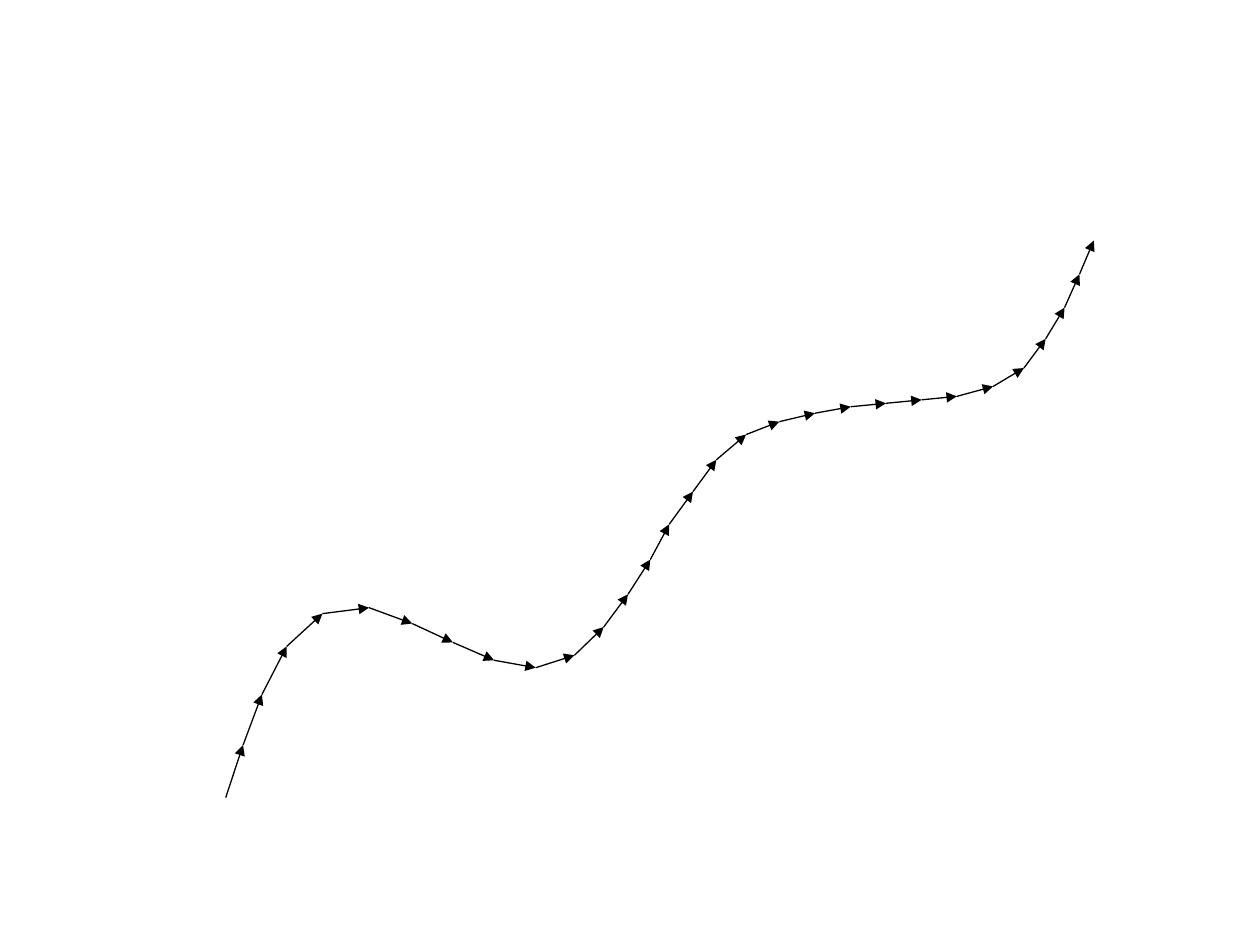
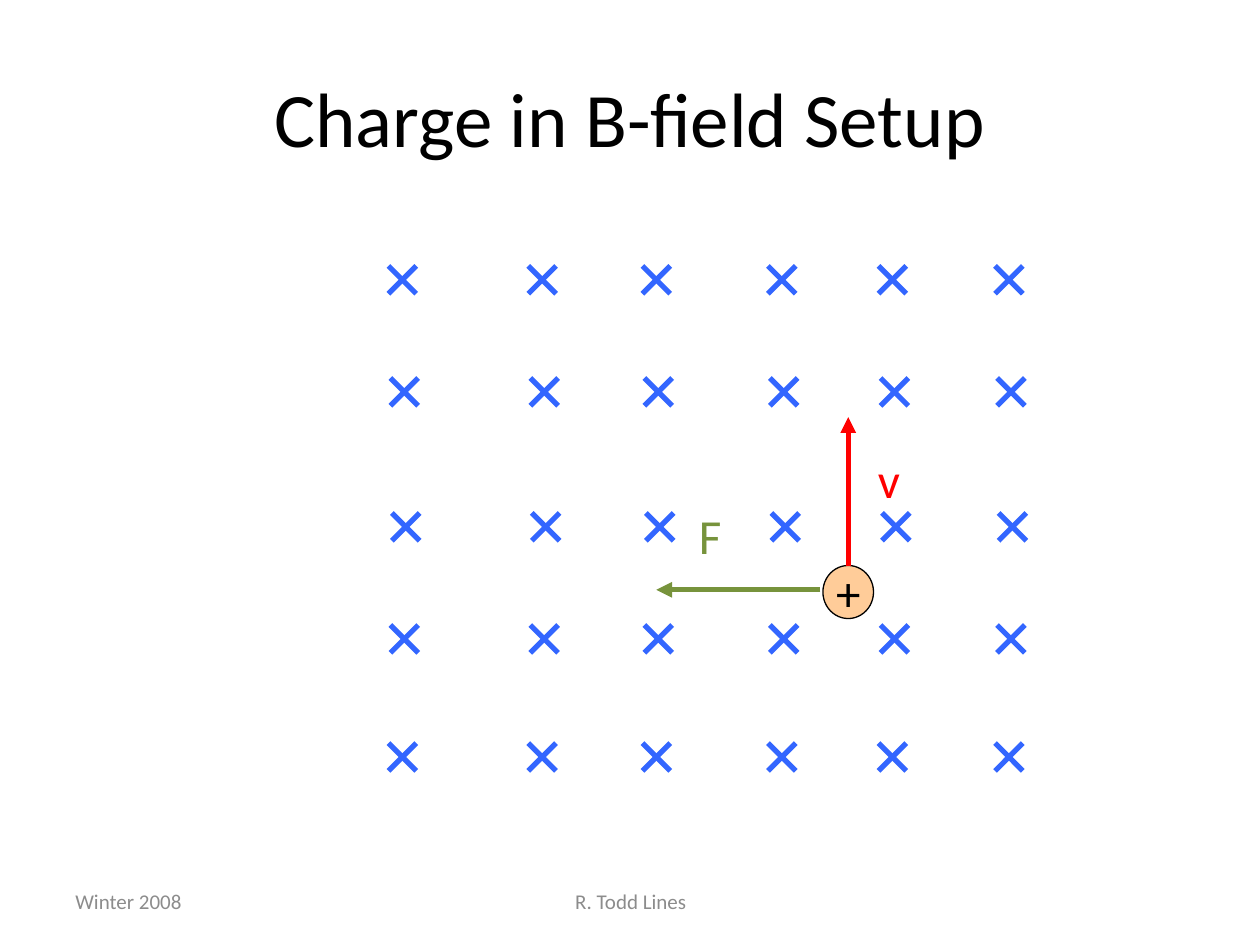
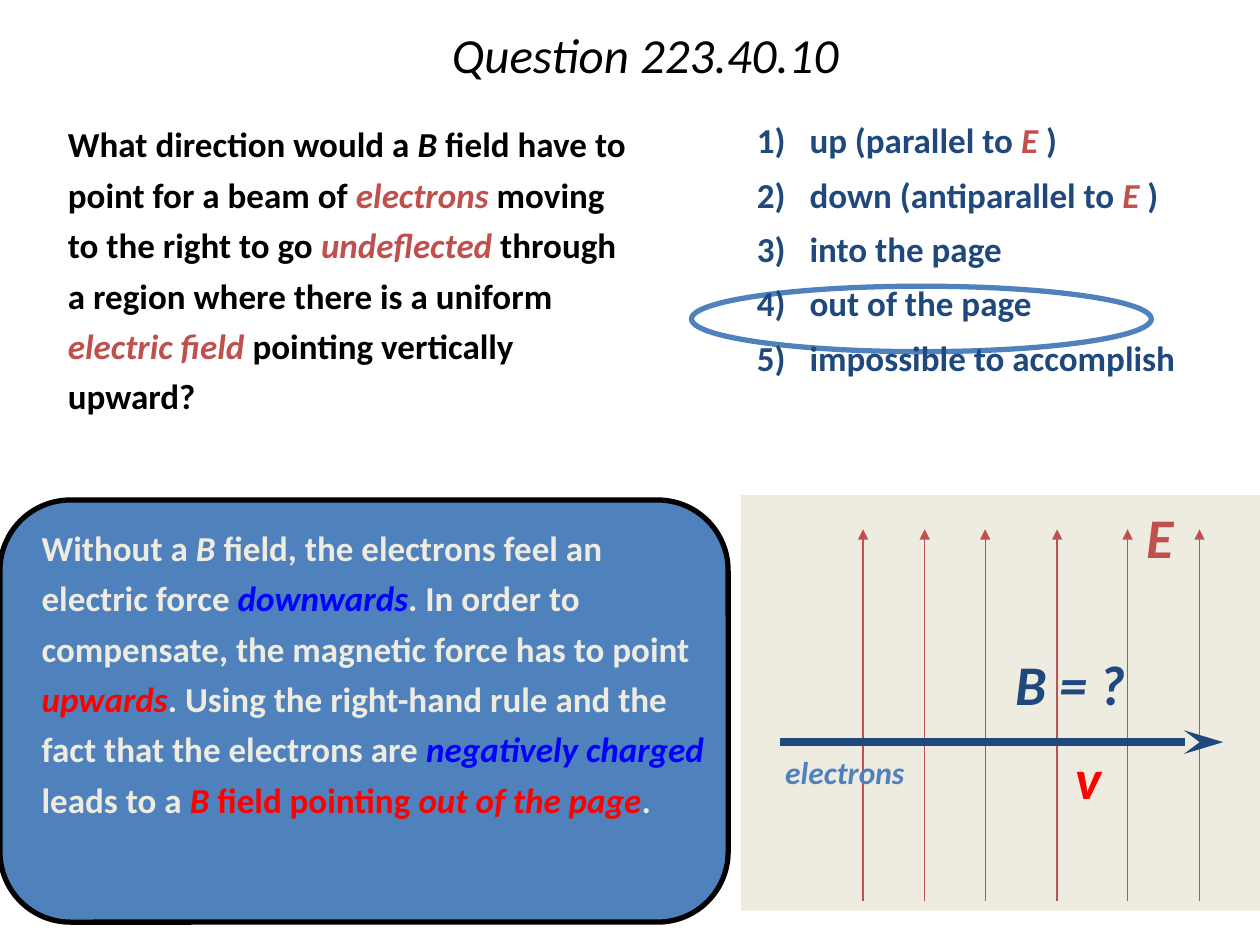
from itertools import pairwise

from lxml.etree import SubElement
from pptx import Presentation
from pptx.dml.color import RGBColor
from pptx.enum.shapes import MSO_CONNECTOR, MSO_SHAPE
from pptx.enum.text import MSO_ANCHOR, PP_ALIGN
from pptx.oxml.ns import qn
from pptx.util import Cm, Pt

FONT = "Calibri"
BLACK = RGBColor(0x00, 0x00, 0x00)
GREY = RGBColor(0x8C, 0x8C, 0x8C)
RED = RGBColor(0xFF, 0x00, 0x00)
PURE_BLUE = RGBColor(0x00, 0x00, 0xFF)
FIELD_BLUE = RGBColor(0x33, 0x66, 0xFF)
FORCE_GREEN = RGBColor(0x77, 0x93, 0x3C)
CHARGE_PEACH = RGBColor(0xFF, 0xCC, 0x99)
BLUE = RGBColor(0x4F, 0x81, 0xBD)
NAVY = RGBColor(0x1F, 0x49, 0x7D)
BRICK = RGBColor(0xC0, 0x50, 0x4D)
CREAM = RGBColor(0xEE, 0xEC, 0xE1)

PATH_POINTS = [
    (4.55, 16.08), (4.9, 15.02), (5.28, 14), (5.78, 13.03), (6.5, 12.37),
    (7.44, 12.25), (8.31, 12.57), (9.13, 12.95), (9.96, 13.31), (10.8, 13.46),
    (11.58, 13.21), (12.17, 12.64), (12.66, 11.98), (13.11, 11.28),
    (13.49, 10.57), (13.97, 9.91), (14.44, 9.27), (15.04, 8.76), (15.71, 8.5),
    (16.43, 8.33), (17.15, 8.2), (17.86, 8.13), (18.58, 8.06), (19.29, 7.99),
    (20.02, 7.79), (20.64, 7.42), (21.08, 6.83), (21.46, 6.2), (21.76, 5.53),
    (22.05, 4.85),
]
CROSS_COLUMNS = [7.83, 10.65, 12.95, 15.48, 17.71, 20.06]
CROSS_ROWS = [(5.36, 0), (7.62, 0.04), (10.34, 0.07), (12.6, 0.04), (14.98, 0)]
CROSS_SIZE = 0.56
E_FIELD_COLUMNS = [17.4, 18.64, 19.86, 21.31, 22.73, 24.18]


def write(frame, paragraphs, size=20, color=BLACK, bold=False, italic=False,
          align=PP_ALIGN.LEFT, anchor=MSO_ANCHOR.TOP, spacing=1, gap=0,
          indent=0, numbered=False, insets=(0.25, 0.13)):
    """Fill a frame with paragraphs, each a string or a list of strings and (text, colour, italic) runs."""
    frame.word_wrap = True
    frame.vertical_anchor = anchor
    frame.margin_left = frame.margin_right = Cm(insets[0])
    frame.margin_top = frame.margin_bottom = Cm(insets[1])
    for index, runs in enumerate(paragraphs):
        paragraph = frame.add_paragraph() if index else frame.paragraphs[0]
        properties = paragraph._p.get_or_add_pPr()
        if indent:
            properties.set("marL", str(Cm(indent)))
            properties.set("indent", str(-Cm(indent) if numbered else 0))
        if numbered:
            SubElement(properties, qn("a:buFont"), typeface="+mj-lt")
            SubElement(properties, qn("a:buAutoNum"), type="arabicParenR")
        paragraph.alignment = align
        paragraph.line_spacing = spacing
        if index:
            paragraph.space_before = Pt(gap)
        for part in [runs] if isinstance(runs, str) else runs:
            text, run_color, run_italic = (part, color, italic) if isinstance(part, str) else part
            run = paragraph.add_run()
            run.text = text
            run.font.name = FONT
            run.font.size = Pt(size)
            run.font.bold = bold
            run.font.italic = run_italic
            run.font.color.rgb = run_color


def add_text(slide, box, *paragraphs, **text_format):
    """Add a text box whose place is given in centimetres."""
    text_box = slide.shapes.add_textbox(*map(Cm, box))
    write(text_box.text_frame, paragraphs, **text_format)


def add_title(slide, box, text, **text_format):
    """Add a centred slide title."""
    add_text(slide, box, text, align=PP_ALIGN.CENTER, anchor=MSO_ANCHOR.MIDDLE, **text_format)


def add_footer(slide, box, text, align):
    """Add a grey footer text."""
    add_text(slide, box, text, size=12, color=GREY, align=align, anchor=MSO_ANCHOR.MIDDLE)


def add_outline(slide, kind, box, fill=None, line=None, width=0.75):
    """Add a preset shape with an optional fill and outline."""
    shape = slide.shapes.add_shape(kind, *map(Cm, box))
    shape.shadow.inherit = False
    if fill is None:
        shape.fill.background()
    else:
        shape.fill.solid()
        shape.fill.fore_color.rgb = fill
    if line is None:
        shape.line.fill.background()
    else:
        shape.line.color.rgb = line
        shape.line.width = Pt(width)
    return shape


def add_line(slide, start, end, color=BLACK, width=0.75, head=None, head_length="med"):
    """Add a straight line with an optional arrowhead at its end."""
    line = slide.shapes.add_connector(MSO_CONNECTOR.STRAIGHT, *map(Cm, (*start, *end)))
    line.line.color.rgb = color
    line.line.width = Pt(width)
    if head:
        SubElement(line.line._get_or_add_ln(), qn("a:tailEnd"), type=head, w="med", len=head_length)
    SubElement(line._element.spPr, qn("a:effectLst"))
    return line


def add_cross(slide, left, top):
    """Add one field mark that points into the page."""
    right, bottom = left + CROSS_SIZE, top + CROSS_SIZE
    add_line(slide, (left, top), (right, bottom), FIELD_BLUE, 3)
    add_line(slide, (right, top), (left, bottom), FIELD_BLUE, 3)


def add_panel_label(slide, box, text, color, size=32):
    """Add a bold italic label on the field panel."""
    add_text(slide, box, text, size=size, color=color, bold=True, italic=True,
             spacing=0.87, insets=(0.18, 0.08))


def build_path(slide):
    """Draw the curved path as a chain of arrows."""
    for start, end in pairwise(PATH_POINTS):
        add_line(slide, start, end, head="triangle")


def build_charge_setup(slide):
    """Draw a moving charge in a magnetic field."""
    add_footer(slide, (1.27, 17.65, 5.92, 1.02), "Winter 2008", PP_ALIGN.LEFT)
    add_footer(slide, (8.69, 17.65, 8.05, 1.02), "R. Todd Lines", PP_ALIGN.CENTER)
    add_title(slide, (1.27, 0.76, 22.86, 3.18), "Charge in B-field Setup", size=44)
    charge = add_outline(slide, MSO_SHAPE.OVAL, (16.59, 11.4, 1.02, 1.07), CHARGE_PEACH, BLACK)
    write(charge.text_frame, ["+"], size=28, align=PP_ALIGN.CENTER,
          anchor=MSO_ANCHOR.MIDDLE, insets=(0, 0))
    velocity = add_line(slide, (17.1, 11.4), (17.1, 8.41), RED, 3, "triangle")
    velocity.begin_connect(charge, 0)
    add_text(slide, (17.45, 8.94, 1.02, 1.45), "v", size=28, color=RED)
    for top, shift in CROSS_ROWS:
        for left in CROSS_COLUMNS:
            add_cross(slide, left + shift, top)
    add_line(slide, (16.54, 11.89), (13.23, 11.89), FORCE_GREEN, 3, "triangle")
    add_text(slide, (13.84, 10.06, 0.97, 1.45), "F", size=28, color=FORCE_GREEN)


def build_field_panel(slide):
    """Draw the electron beam crossing the electric field."""
    add_outline(slide, MSO_SHAPE.RECTANGLE, (14.94, 9.98, 10.46, 8.38), CREAM)
    for x in E_FIELD_COLUMNS:
        add_line(slide, (x, 18.16), (x, 10.67), BRICK, head="triangle")
    add_panel_label(slide, (15.65, 15.21, 4.11, 1.02), "electrons", BLUE, 18)
    add_panel_label(slide, (22.94, 10.24, 1.12, 1.32), "E", BRICK)
    add_line(slide, (15.72, 14.96), (24.66, 14.96), NAVY, 4.5, "stealth", "lg")
    add_panel_label(slide, (21.51, 15.09, 0.99, 1.32), "v", RED)
    add_panel_label(slide, (20.29, 13.21, 3.18, 1.32), "B = ?", NAVY)


def build_question(slide):
    """Lay out the question, its choices, the answer and the field panel."""
    add_outline(slide, MSO_SHAPE.ROUNDED_RECTANGLE, (0, 10.08, 14.68, 8.51), BLUE, BLACK, 3)
    add_text(
        slide, (-0.2, 10.31, 14.81, 7.37),
        ["Without a ", ("B", CREAM, True), " field, the electrons feel an electric force ",
         ("downwards", PURE_BLUE, True),
         ". In order to compensate, the magnetic force has to point ",
         ("upwards", RED, True),
         ". Using the right-hand rule and the fact that the electrons are ",
         ("negatively charged", PURE_BLUE, True), " leads to a ", ("B", RED, True),
         (" field pointing ", RED, False), ("out of the page", RED, True), "."],
        color=CREAM, bold=True, spacing=1.2, indent=0.79)
    add_title(slide, (1.83, 0, 22.35, 2.34), "Question 223.40.10", size=28, italic=True, spacing=0.9)
    add_outline(slide, MSO_SHAPE.OVAL, (13.94, 5.77, 9.27, 1.32), line=BLUE, width=3)
    add_text(
        slide, (0, 2.18, 12.93, 7.7),
        ["What direction would a ", ("B", BLACK, True),
         " field have to point for a beam of ", ("electrons", BRICK, True),
         " moving to the right to go ", ("undeflected", BRICK, True),
         " through a region where there is a uniform ", ("electric field", BRICK, True),
         " pointing vertically upward?"],
        bold=True, spacing=1.2, indent=1.12)
    e_field = ("E ", BRICK, True)
    add_text(
        slide, (15.01, 2.36, 10.39, 5.77),
        ["up (parallel to ", e_field, ")"],
        ["down (antiparallel to ", e_field, ")"],
        "into the page",
        "out of the page",
        "impossible to accomplish",
        color=NAVY, bold=True, spacing=0.9, gap=9.5, indent=1.06, numbered=True)
    build_field_panel(slide)


def main():
    """Build the three slides and save them."""
    presentation = Presentation()
    presentation.slide_width = Cm(25.4)
    presentation.slide_height = Cm(19.05)
    blank = presentation.slide_layouts[6]
    for build in (build_path, build_charge_setup, build_question):
        build(presentation.slides.add_slide(blank))
    presentation.save("out.pptx")


if __name__ == "__main__":
    main()
